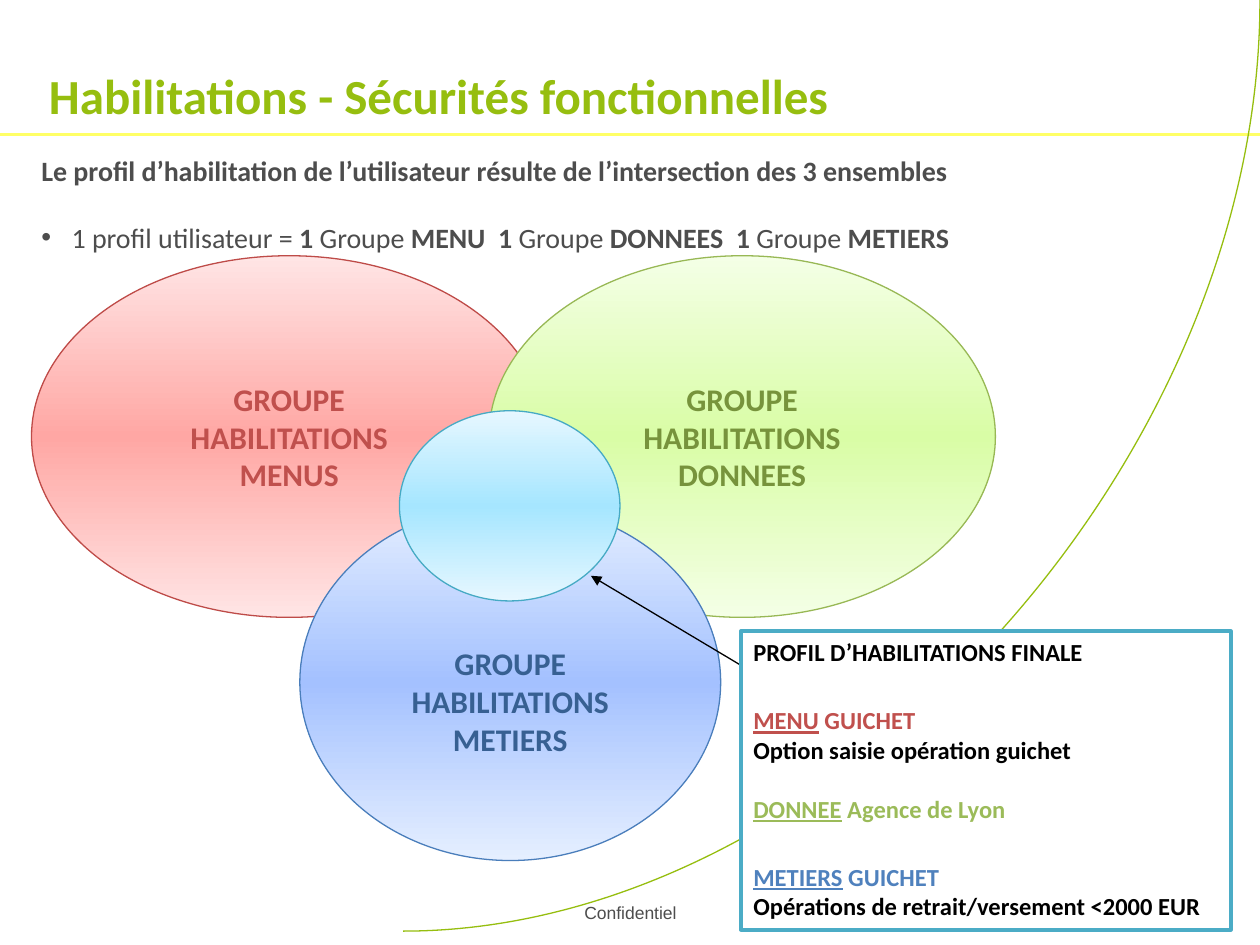
from copy import deepcopy
from dataclasses import dataclass

from lxml.etree import SubElement as Sub
from pptx import Presentation
from pptx.dml.color import RGBColor as Rgb
from pptx.enum.shapes import MSO_CONNECTOR as Link, MSO_SHAPE as Form
from pptx.enum.text import MSO_ANCHOR as Anchor, PP_ALIGN as Align
from pptx.oxml.ns import qn
from pptx.util import Emu, Pt

SCALE = 9144
HUES = {
    "lime": "96BE0F", "yellow": "FFFF66", "gray": "4D4D4D",
    "black": "000000", "white": "FFFFFF", "teal": "4BACC6",
    "red": "C0504D", "green": "9BBB59", "blue": "4F81BD",
    "moss": "77933C", "navy": "376092",
    "red line": "BE4B48", "red pale": "FFE5E5", "red mid": "FFA7A4",
    "green line": "98B855", "green pale": "F4FFE6", "green mid": "D9FDA6",
    "blue line": "4A7EBB", "blue pale": "E5EFFF", "blue mid": "A4C1FF",
    "aqua line": "46AAC4", "aqua pale": "E6F7FF", "aqua mid": "A6E6FF",
}


@dataclass(frozen=True)
class Box:
    left: int
    top: int
    width: int
    height: int


@dataclass(frozen=True)
class Run:
    text: str
    hue: str
    size: int
    bold: bool = True
    under: bool = False
    font: str = "Calibri"


@dataclass(frozen=True)
class Para:
    runs: tuple[Run, ...]
    space: int = 0
    bullet: bool = False


@dataclass(frozen=True)
class Oval:
    box: Box
    tint: str
    hue: str = "black"
    words: tuple[str, ...] = ()
    drop: int = 0


def px(count: int) -> Emu:
    return Emu(count * SCALE)


def tone(name: str) -> Rgb:
    return Rgb.from_string(HUES[name])


def place(box: Box) -> tuple[Emu, ...]:
    return px(box.left), px(box.top), px(box.width), px(box.height)


def write(shape, paras: list[Para], align=Align.LEFT, anchor=Anchor.TOP,
          drop: int = 0) -> None:
    frame = shape.text_frame
    frame.word_wrap = True
    frame.vertical_anchor = anchor
    frame.margin_left = frame.margin_right = px(10)
    frame.margin_top, frame.margin_bottom = px(5 + drop), px(5)
    for rank, para in enumerate(paras):
        line = frame.add_paragraph() if rank else frame.paragraphs[0]
        line.alignment = align
        line.space_before = Pt(para.space)
        if para.bullet:
            props = line._p.get_or_add_pPr()
            props.set("marL", str(px(24)))
            props.set("indent", str(px(-24)))
            Sub(props, qn("a:buFont"), typeface="Arial")
            Sub(props, qn("a:buChar"), char="•")
        for part in para.runs:
            run = line.add_run()
            run.text = part.text
            font = run.font
            font.name, font.size = part.font, Pt(part.size)
            font.bold, font.underline = part.bold, part.under
            font.color.rgb = tone(part.hue)


def label(slide, box: Box, paras: list[Para], anchor=Anchor.TOP) -> None:
    write(slide.shapes.add_textbox(*place(box)), paras, anchor=anchor)


def stroke(slide, kind, start: tuple[int, int], end: tuple[int, int],
           hue: str, width: float):
    link = slide.shapes.add_connector(kind, *map(px, start + end))
    link.line.color.rgb = tone(hue)
    link.line.width = Pt(width)
    Sub(link._element.spPr, qn("a:effectLst"))
    return link


def shade(shape, tint: str) -> None:
    fill = shape.fill
    fill.gradient()
    fill.gradient_angle = 90
    first = shape._element.spPr.find(qn("a:gradFill")).find(qn("a:gsLst"))[0]
    first.addnext(deepcopy(first))
    for stop, spot, name in zip(fill.gradient_stops, (0, 0.5, 1),
                                ("pale", "mid", "pale")):
        stop.position = spot
        stop.color.rgb = tone(f"{tint} {name}")


def draw(slide, oval: Oval) -> None:
    shape = slide.shapes.add_shape(Form.OVAL, *place(oval.box))
    shape.shadow.inherit = False
    shade(shape, oval.tint)
    shape.line.color.rgb = tone(f"{oval.tint} line")
    shape.line.width = Pt(0.75)
    if oval.words:
        paras = [Para((Run(word, oval.hue, 18),)) for word in oval.words]
        write(shape, paras, Align.CENTER, Anchor.MIDDLE, oval.drop)


def panel(slide, box: Box, paras: list[Para]) -> None:
    shape = slide.shapes.add_shape(Form.RECTANGLE, *place(box))
    shape.shadow.inherit = False
    shape.fill.solid()
    shape.fill.fore_color.rgb = tone("white")
    shape.line.color.rgb = tone("teal")
    shape.line.width = Pt(2)
    write(shape, paras)


def group(name: str) -> tuple[str, ...]:
    return "GROUPE", "HABILITATIONS", name


def head(key: str, rest: str, hue: str, space: int) -> Para:
    return Para((Run(key, hue, 14, under=True), Run(rest, hue, 14)), space)


def plain(text: str) -> Para:
    return Para((Run(text, "black", 14),))


OVALS = [
    Oval(Box(25, 203, 409, 287), "red", "red", group("MENUS")),
    Oval(Box(388, 203, 402, 287), "green", "moss", group("DONNEES")),
    Oval(Box(238, 400, 334, 283), "blue", "navy", group("METIERS"), 30),
    Oval(Box(317, 326, 175, 151), "aqua"),
]
FINAL = [
    plain("PROFIL D’HABILITATIONS FINALE"),
    head("MENU", " GUICHET", "red", 22),
    plain("Option saisie opération guichet"),
    head("DONNEE", " Agence de Lyon", "green", 17),
    head("METIERS", " GUICHET", "blue", 22),
    plain("Opérations de retrait/versement <2000 EUR"),
]
SUM = ["1 profil utilisateur = ", "1", " Groupe ", "MENU  1", " Groupe ",
       "DONNEES  1", " Groupe ", "METIERS"]
BODY = [
    Para((Run("Le profil d’habilitation de l’utilisateur résulte de "
              "l’intersection des 3 ensembles", "gray", 16),)),
    Para(tuple(Run(text, "gray", 16, bold=rank % 2 == 1)
               for rank, text in enumerate(SUM)), 19, True),
]


def main() -> None:
    deck = Presentation()
    deck.slide_width, deck.slide_height = px(1000), px(750)
    slide = deck.slides.add_slide(deck.slide_layouts[6])
    stroke(slide, Link.STRAIGHT, (1000, 107), (0, 107), "yellow", 1.5)
    curve = stroke(slide, Link.CURVE, (320, 739), (1000, 0), "lime", 0.75)
    curve._element.spPr.find(qn("a:prstGeom")).set("prst", "curvedConnector2")
    label(slide, Box(454, 711, 100, 27),
          [Para((Run("Confidentiel", "gray", 10, False, font="Arial"),))])
    label(slide, Box(29, 13, 835, 125),
          [Para((Run("Habilitations - Sécurités fonctionnelles", "lime", 28),))],
          Anchor.MIDDLE)
    for oval in OVALS:
        draw(slide, oval)
    arrow = stroke(slide, Link.STRAIGHT, (588, 528), (469, 457), "black", 0.75)
    Sub(arrow.line._get_or_add_ln(), qn("a:tailEnd"), type="triangle")
    panel(slide, Box(588, 501, 389, 237), FINAL)
    label(slide, Box(23, 117, 953, 148), BODY)
    deck.save("out.pptx")


if __name__ == "__main__":
    main()
